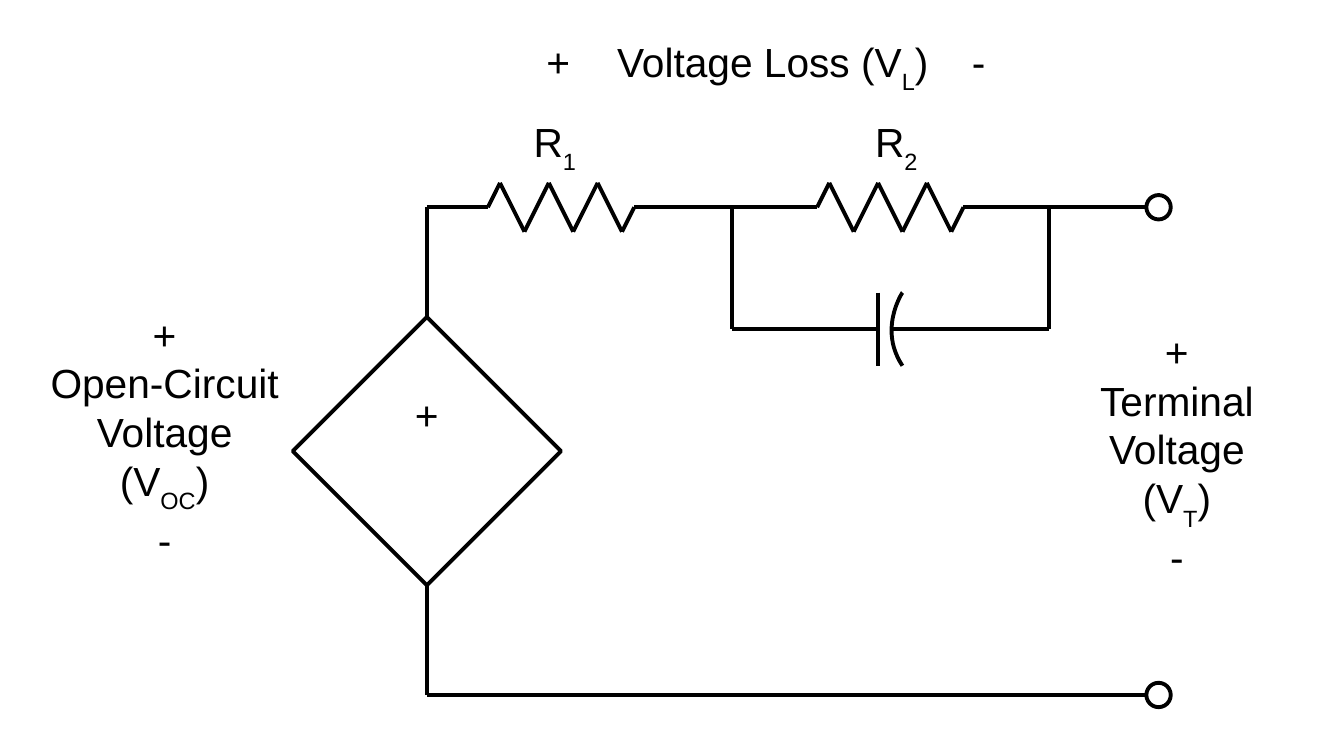
from dataclasses import dataclass
from itertools import pairwise

from lxml.etree import SubElement
from pptx import Presentation
from pptx.dml.color import RGBColor
from pptx.enum.shapes import MSO_CONNECTOR, MSO_SHAPE
from pptx.enum.text import MSO_ANCHOR, MSO_AUTO_SIZE, PP_ALIGN
from pptx.oxml.ns import qn
from pptx.util import Inches, Pt


@dataclass(frozen=True)
class Theme:
    """Colours, type and line weight of the diagram."""
    ink: RGBColor = RGBColor(0, 0, 0)
    paper: RGBColor = RGBColor(255, 255, 255)
    font: str = "Arial"
    size: int = 24
    stroke: float = 2.3


@dataclass(frozen=True)
class Box:
    """A region of the page, in inches."""
    left: float
    top: float
    width: float
    height: float

    def inches(self):
        """Return the four lengths of the region."""
        return [Inches(value) for value in (self.left, self.top, self.width, self.height)]


THEME = Theme()


def style_line(line):
    """Give a line the ink colour and stroke weight."""
    line.color.rgb = THEME.ink
    line.width = Pt(THEME.stroke)


def add_wire(shapes, *points):
    """Join consecutive points with straight connectors."""
    for start, end in pairwise(points):
        ends = [Inches(value) for value in (*start, *end)]
        wire = shapes.add_connector(MSO_CONNECTOR.STRAIGHT, *ends)
        style_line(wire.line)
        SubElement(wire._element.spPr, qn("a:effectLst"))


def add_outline(page, preset, box):
    """Draw a paper-filled preset shape with an ink outline."""
    shape = page.shapes.add_shape(preset, *box.inches())
    shape.shadow.inherit = False
    shape.fill.solid()
    shape.fill.fore_color.rgb = THEME.paper
    style_line(shape.line)
    return shape


def style_paragraph(para, alignment=PP_ALIGN.CENTER):
    """Apply the theme's type to a paragraph."""
    para.alignment = alignment
    para.font.name = THEME.font
    para.font.size = Pt(THEME.size)
    para.font.color.rgb = THEME.ink


def add_symbol(para, before, subscript, after=""):
    """Write a text holding one subscript."""
    para.add_run().text = before
    span = para.add_run()
    span.text = subscript
    span._r.get_or_add_rPr().set("baseline", "-33000")
    if after:
        para.add_run().text = after


def add_text_box(page, box, anchor=MSO_ANCHOR.MIDDLE):
    """Add a wrapping text frame that grows with its text."""
    frame = page.shapes.add_textbox(*box.inches()).text_frame
    frame.word_wrap = True
    frame.auto_size = MSO_AUTO_SIZE.SHAPE_TO_FIT_TEXT
    frame.vertical_anchor = anchor
    return frame


def add_voltage_label(page, box, name, subscript):
    """Write a stacked voltage name between its polarity signs."""
    frame = add_text_box(page, box)
    for index, text in enumerate(("+", name, "(V", "-")):
        para = frame.add_paragraph() if index else frame.paragraphs[0]
        if text == "(V":
            add_symbol(para, text, subscript, ")")
        else:
            para.add_run().text = text
        style_paragraph(para)


def add_resistor_label(page, box, number):
    """Write a resistor's symbol."""
    para = add_text_box(page, box).paragraphs[0]
    add_symbol(para, "R", number)
    style_paragraph(para)


def add_loss_label(page, box):
    """Write the voltage loss with its signs set apart by tab stops."""
    frame = add_text_box(page, box, MSO_ANCHOR.TOP)
    frame.margin_left = Inches(1.18)
    para = frame.paragraphs[0]
    tabs = SubElement(para._p.get_or_add_pPr(), qn("a:tabLst"))
    for stop in (0.58, 3.49):
        SubElement(tabs, qn("a:tab"), pos=str(Inches(stop)), algn="l")
    add_symbol(para, "+\tVoltage Loss (V", "L", ")\t-")
    style_paragraph(para, PP_ALIGN.LEFT)


def add_source(page, box):
    """Draw the diamond voltage source with its plus sign."""
    frame = add_outline(page, MSO_SHAPE.DIAMOND, box).text_frame
    frame.word_wrap = False
    frame.vertical_anchor = MSO_ANCHOR.TOP
    frame.paragraphs[0].add_run().text = "+"
    style_paragraph(frame.paragraphs[0])


def add_resistor(page, box):
    """Draw a grouped zigzag of six peaks across the box."""
    step = box.width / 12
    middle = box.top + box.height / 2
    peaks = [(box.left + step * (2 * index + 1), box.top + box.height * (index % 2))
             for index in range(6)]
    group = page.shapes.add_group_shape()
    add_wire(group.shapes, (box.left, middle), *peaks, (box.left + box.width, middle))


def add_capacitor(page, box):
    """Draw a straight plate and a curved plate."""
    right, bottom = box.left + box.width, box.top + box.height
    add_wire(page.shapes, (box.left, box.top), (box.left, bottom))
    curve = []
    for index in range(25):
        along = index / 24
        rest = 1 - along
        across = right - 3 * box.width * rest ** 2 * along
        down = bottom - box.height * (1.5 * rest ** 2 * along + 3 * rest * along ** 2 + along ** 3)
        curve.append((Inches(across), Inches(down)))
    builder = page.shapes.build_freeform(*curve[0])
    builder.add_line_segments(curve[1:], close=False)
    plate = builder.convert_to_shape()
    plate.shadow.inherit = False
    plate.fill.background()
    style_line(plate.line)


def add_circuit(page, box):
    """Draw the battery's equivalent circuit inside the box."""
    left, top = box.left, box.top
    right, bottom = left + box.width, top + box.height
    add_wire(page.shapes, (left, bottom), (left, top))
    add_source(page, Box(left - 1.1, top + 0.9, 2.2, 2.2))

    resistor_width = 1.2
    first, second = left + 0.5, left + 3.2
    for start in (first, second):
        add_resistor(page, Box(start, top - 0.2, resistor_width, 0.4))
    add_wire(page.shapes, (left, top), (first, top))
    add_wire(page.shapes, (first + resistor_width, top), (second, top))
    add_wire(page.shapes, (second + resistor_width, top), (right, top))

    branch_left, branch_right, branch = left + 2.5, left + 5.1, top + 1
    plate = left + 3.7
    add_capacitor(page, Box(plate, branch - 0.3, 0.2, 0.6))
    add_wire(page.shapes, (branch_left, top), (branch_left, branch), (plate, branch))
    add_wire(page.shapes, (plate + 0.11, branch), (branch_right, branch), (branch_right, top))

    add_wire(page.shapes, (left, bottom), (right, bottom))
    for level in (top, bottom):
        add_outline(page, MSO_SHAPE.OVAL, Box(right - 0.1, level - 0.1, 0.2, 0.2))


def main():
    """Build the one-page deck."""
    deck = Presentation()
    deck.slide_width, deck.slide_height = Inches(11.02), Inches(6.2)
    page = deck.slides.add_slide(deck.slide_layouts[6])
    add_circuit(page, Box(3.5, 1.7, 6, 4))
    add_voltage_label(page, Box(8.6, 2.7, 2.1, 2.04), "Terminal Voltage", "T")
    add_voltage_label(page, Box(0.3, 2.56, 2.1, 2.04), "Open-Circuit Voltage", "OC")
    for number, left in (("1", 3.5), ("2", 6.3)):
        add_resistor_label(page, Box(left, 0.9, 2.1, 0.59), number)
    add_loss_label(page, Box(3.3, 0.25, 6, 0.55))
    deck.save("out.pptx")


if __name__ == "__main__":
    main()
